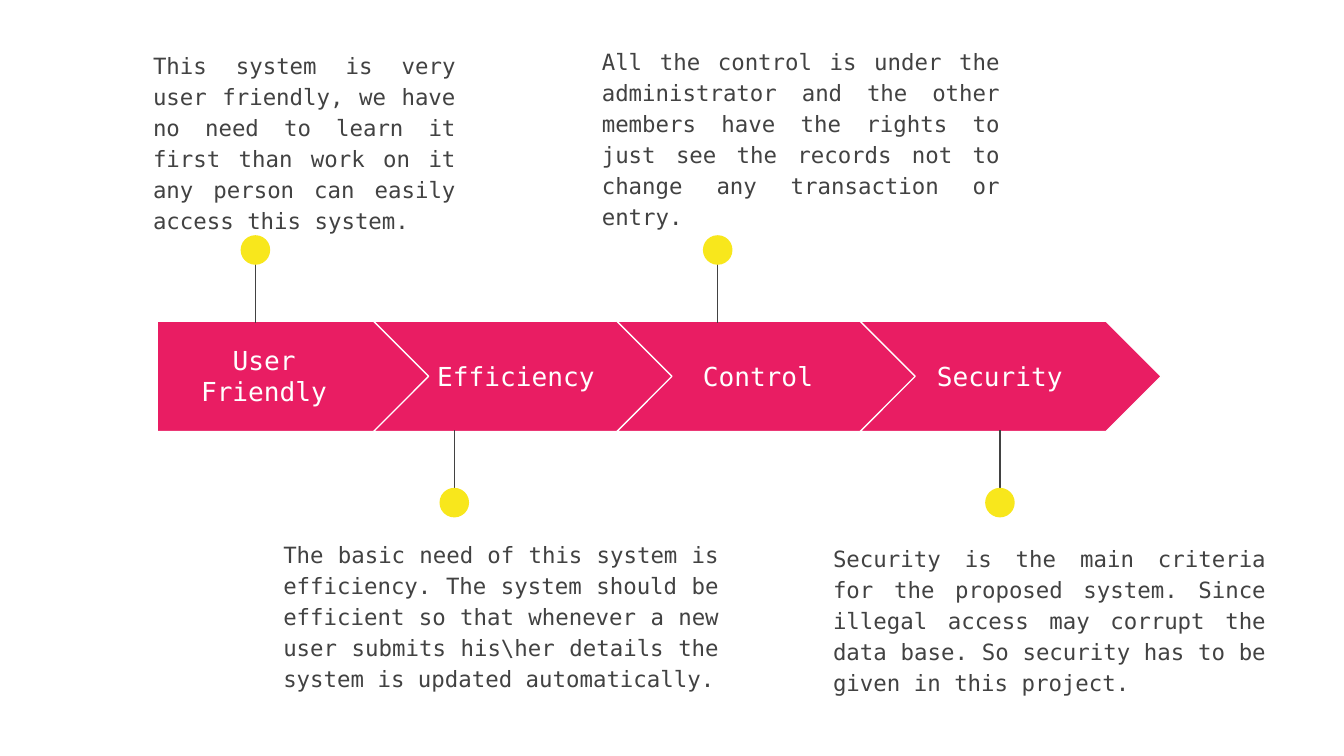
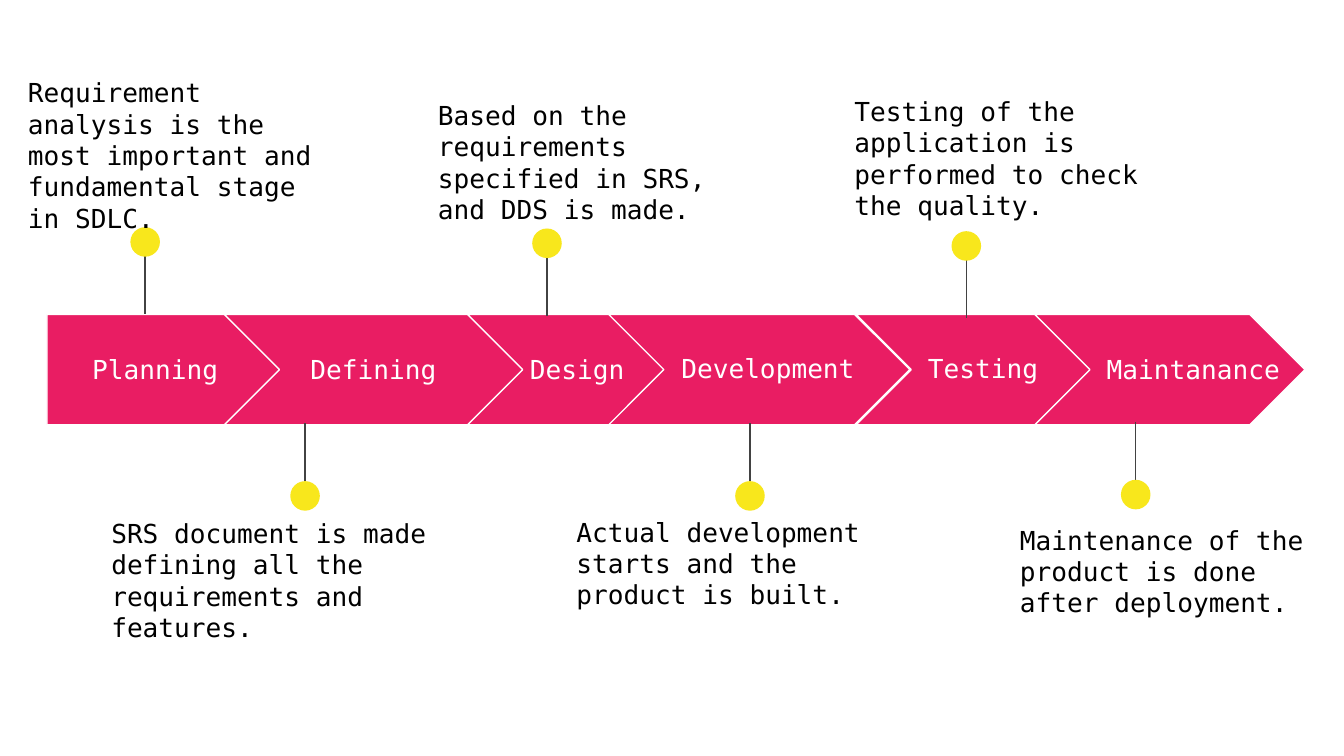
from collections import namedtuple

from lxml import etree
from pptx import Presentation
from pptx.dml.color import RGBColor
from pptx.enum.shapes import MSO_CONNECTOR, MSO_SHAPE
from pptx.enum.text import MSO_ANCHOR, PP_ALIGN
from pptx.oxml.ns import qn
from pptx.util import Inches, Pt

PINK = RGBColor(0xE9, 0x1D, 0x63)
YELLOW = RGBColor(0xF8, 0xE7, 0x1C)
GRAY = RGBColor(0x42, 0x42, 0x42)
BLACK = RGBColor(0, 0, 0)
WHITE = RGBColor(0xFF, 0xFF, 0xFF)
FONT = "DejaVu Sans Mono"

BAND_HEIGHT = 0.82
LABEL_HEIGHT = 0.51
DOT = 0.22
PIN_LENGTH = 0.61
PIN_OVERLAP = 0.04  # how far a pin reaches into its dot

# arrow: left, width; label_box: left, top, width; dot: centre x, top;
# note_box: left, top, width, height
Step = namedtuple("Step", "label arrow label_box dot note_box note")
TextStyle = namedtuple("TextStyle", "size color align spacing after inset_y")

FEATURES = [
    Step("User Friendly", (1.17, 2.05), (1.17, 2.54, 1.59), (1.9, 1.75),
         (1.04, 0.26, 2.45, 0.99),
         "This system is very user friendly, we have no need to learn it first "
         "than work on it any person can easily access this system."),
    Step("Efficiency", (2.78, 2.24), (3.12, 2.54, 1.44), (3.38, 3.63),
         (2.01, 3.9, 3.44, 1.52),
         "The basic need of this system is efficiency. The system should be "
         "efficient so that whenever a new user submits his\\her details the "
         "system is updated automatically."),
    Step("Control", (4.59, 2.24), (4.92, 2.54, 1.44), (5.34, 1.75),
         (4.38, 0.23, 3.16, 1.56),
         "All the control is under the administrator and the other members have "
         "the rights to just see the records not to change any transaction or "
         "entry."),
    Step("Security", (6.4, 2.24), (6.72, 2.54, 1.44), (7.44, 3.63),
         (6.1, 3.93, 3.42, 1.46),
         "Security is the main criteria for the proposed system. Since illegal "
         "access may corrupt the data base. So security has to be given in this "
         "project."),
]

LIFE_CYCLE = [
    Step("Planning", (0.35, 1.8), (0.35, 2.49, 1.61), (1.08, 1.69),
         (0.11, 0.52, 2.47, 1.28),
         "Requirement analysis is the most important and fundamental stage in "
         "SDLC."),
    Step("Defining", (1.67, 2.24), (2, 2.49, 1.56), (2.27, 3.58),
         (0.73, 3.8, 2.67, 1.04),
         "SRS document is made defining all the requirements and features."),
    Step("Design", (3.48, 1.47), (3.8, 2.49, 0.99), (4.07, 1.7),
         (3.16, 0.69, 2.47, 1.04),
         "Based on the requirements specified in SRS, and DDS is made."),
    Step("Development", (4.53, 2.24), (4.96, 2.48, 1.51), (5.58, 3.58),
         (4.19, 3.79, 2.77, 0.81),
         "Actual development starts and the product is built."),
    Step("Testing", (6.37, 1.75), (6.77, 2.48, 1.09), (7.19, 1.72),
         (6.26, 0.66, 2.47, 1.04),
         "Testing of the application is performed to check the quality."),
    Step("Maintanance", (7.7, 2.01), (8.1, 2.49, 1.56), (8.45, 3.57),
         (7.49, 3.85, 2.47, 0.81),
         "Maintenance of the product is done after deployment."),
]

LABEL_STYLE = TextStyle(14, WHITE, PP_ALIGN.CENTER, 1, 0, 0.1)
FEATURE_NOTE = TextStyle(12, GRAY, PP_ALIGN.JUSTIFY, 1.15, 16, 0.1)
STAGE_NOTE = TextStyle(14, BLACK, PP_ALIGN.LEFT, 1, 0, 0.05)

# steps, top of the arrow band, style of the notes
SLIDES = [(FEATURES, 2.39, FEATURE_NOTE), (LIFE_CYCLE, 2.34, STAGE_NOTE)]


def inches(*lengths):
    return [Inches(length) for length in lengths]


def add_shape(s, kind, box, fill, line=None):
    sp = s.shapes.add_shape(kind, *inches(*box))
    sp.shadow.inherit = False
    sp.fill.solid()
    sp.fill.fore_color.rgb = fill
    if line is None:
        sp.line.fill.background()
    else:
        sp.line.color.rgb = line
        sp.line.width = Pt(0.75)


def add_text(s, box, text, style, anchor=MSO_ANCHOR.TOP):
    tf = s.shapes.add_textbox(*inches(*box)).text_frame
    tf.word_wrap = True
    tf.vertical_anchor = anchor
    tf.margin_left = tf.margin_right = Inches(0.1)
    tf.margin_top = tf.margin_bottom = Inches(style.inset_y)
    p = tf.paragraphs[0]
    p.alignment = style.align
    p.line_spacing = style.spacing
    p.space_after = Pt(style.after)
    r = p.add_run()
    r.text = text
    r.font.name = FONT
    r.font.size = Pt(style.size)
    r.font.color.rgb = style.color


def add_pin(s, x, dot_top, band_top):
    """Add a dot and the line that ties it to the arrow band."""
    if dot_top < band_top:
        start = dot_top + PIN_OVERLAP
        end = start + PIN_LENGTH
    else:
        start = dot_top + DOT - PIN_OVERLAP
        end = start - PIN_LENGTH
    line = s.shapes.add_connector(MSO_CONNECTOR.STRAIGHT,
                                  *inches(x, start, x, end))
    line.line.color.rgb = GRAY
    line.line.width = Pt(0.75)
    etree.SubElement(line._element.spPr, qn("a:effectLst"))
    add_shape(s, MSO_SHAPE.OVAL, (x - DOT / 2, dot_top, DOT, DOT), YELLOW)


def add_timeline(s, steps, band_top, note_style):
    for i, step in enumerate(steps):
        kind = MSO_SHAPE.CHEVRON if i else MSO_SHAPE.PENTAGON
        left, width = step.arrow
        add_shape(s, kind, (left, band_top, width, BAND_HEIGHT), PINK, WHITE)
        add_text(s, (*step.label_box, LABEL_HEIGHT), step.label, LABEL_STYLE,
                 MSO_ANCHOR.MIDDLE)
        add_pin(s, *step.dot, band_top)
        add_text(s, step.note_box, step.note, note_style)


def main():
    prs = Presentation()
    prs.slide_width = Inches(10)
    prs.slide_height = Inches(10) * 9 // 16
    for steps, band_top, note_style in SLIDES:
        s = prs.slides.add_slide(prs.slide_layouts[6])
        add_timeline(s, steps, band_top, note_style)
    prs.save("out.pptx")


if __name__ == "__main__":
    main()
